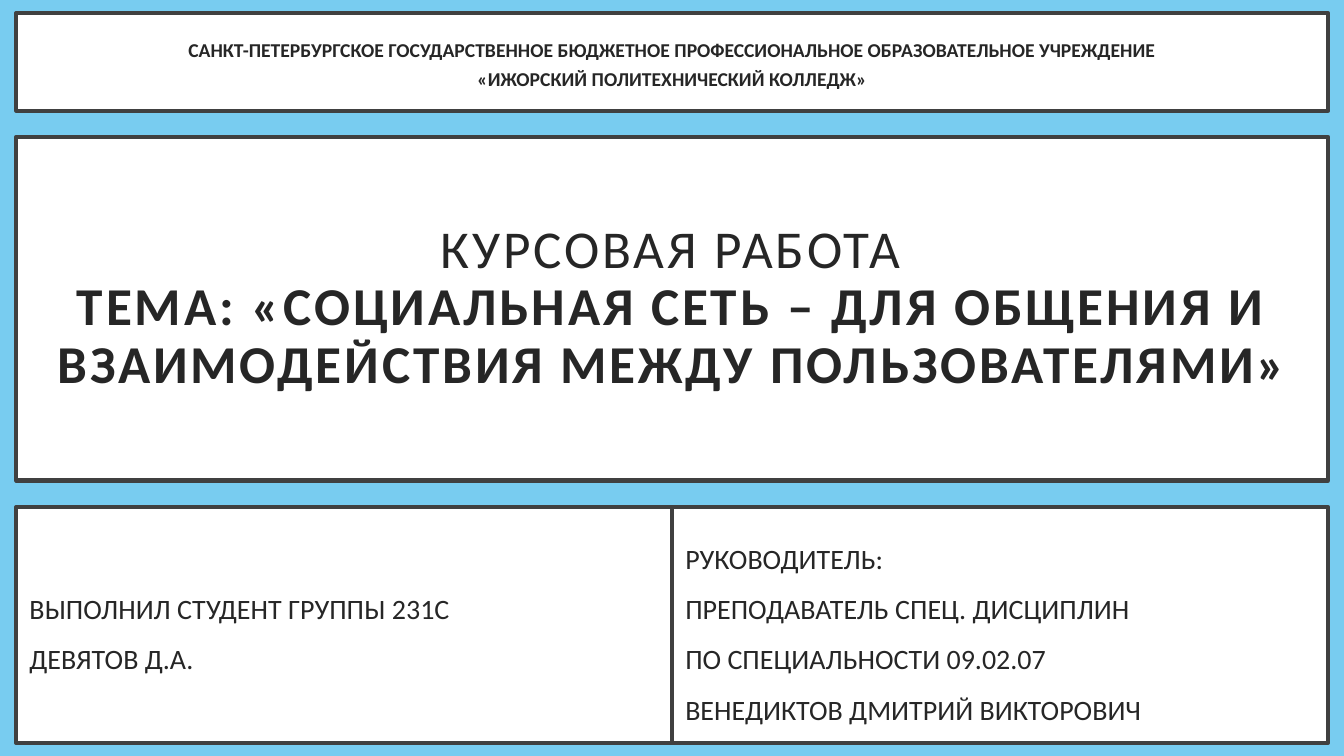
from dataclasses import dataclass

from pptx import Presentation
from pptx.dml.color import RGBColor
from pptx.enum.shapes import MSO_SHAPE
from pptx.enum.text import MSO_ANCHOR, PP_ALIGN
from pptx.slide import Slide
from pptx.util import Cm, Pt

RECT = MSO_SHAPE.RECTANGLE
MIDDLE = MSO_ANCHOR.MIDDLE
LEFT = PP_ALIGN.LEFT
CENTER = PP_ALIGN.CENTER


@dataclass(frozen=True)
class Theme:
    sky: RGBColor = RGBColor(0x78, 0xCC, 0xF0)
    paper: RGBColor = RGBColor(0xFF, 0xFF, 0xFF)
    frame: RGBColor = RGBColor(0x40, 0x40, 0x40)
    ink: RGBColor = RGBColor(0x26, 0x26, 0x26)
    font: str = "Calibri"
    border: float = 3
    head: float = 14
    title: float = 38
    body: float = 20


@dataclass(frozen=True)
class Panel:
    left: float
    top: float
    width: float
    height: float
    text: str
    size: float
    leading: float
    align: PP_ALIGN
    pad_x: float
    pad_y: float
    bold: tuple[bool, ...] = (False,)
    tracking: int = 0


THEME = Theme()
EDGE = 0.41
WIDE = 33.06
HALF = WIDE / 2
LOW = 12.78
TALL = 5.94

PANELS = [
    Panel(EDGE, 3.45, WIDE, 8.66,
          "КУРСОВАЯ РАБОТА\v"
          "ТЕМА: «СОЦИАЛЬНАЯ СЕТЬ – ДЛЯ ОБЩЕНИЯ И ВЗАИМОДЕЙСТВИЯ МЕЖДУ ПОЛЬЗОВАТЕЛЯМИ»",
          THEME.title, 0.9, CENTER, 0.76, 0.51, (False, True), 200),
    Panel(EDGE, 0.33, WIDE, 2.46,
          "САНКТ-ПЕТЕРБУРГСКОЕ ГОСУДАРСТВЕННОЕ БЮДЖЕТНОЕ "
          "ПРОФЕССИОНАЛЬНОЕ ОБРАЗОВАТЕЛЬНОЕ УЧРЕЖДЕНИЕ\n"
          "«ИЖОРСКИЙ ПОЛИТЕХНИЧЕСКИЙ КОЛЛЕДЖ»",
          THEME.head, 1.2, CENTER, 0.76, 0.51, (True,)),
    Panel(EDGE + HALF, LOW, HALF, TALL,
          "РУКОВОДИТЕЛЬ:\n"
          "ПРЕПОДАВАТЕЛЬ СПЕЦ. ДИСЦИПЛИН\n"
          "ПО СПЕЦИАЛЬНОСТИ 09.02.07\n"
          "ВЕНЕДИКТОВ ДМИТРИЙ ВИКТОРОВИЧ",
          THEME.body, 1.5, LEFT, 0.33, 0.33),
    Panel(EDGE, LOW, HALF, TALL,
          "ВЫПОЛНИЛ СТУДЕНТ ГРУППЫ 231С\n"
          "ДЕВЯТОВ Д.А.",
          THEME.body, 1.5, LEFT, 0.33, 0.33),
]


def draw_panel(slide: Slide, panel: Panel) -> None:
    shape = slide.shapes.add_shape(
        RECT, Cm(panel.left), Cm(panel.top), Cm(panel.width), Cm(panel.height))
    shape.shadow.inherit = False
    shape.fill.solid()
    shape.fill.fore_color.rgb = THEME.paper
    shape.line.color.rgb = THEME.frame
    shape.line.width = Pt(THEME.border)

    frame = shape.text_frame
    frame.word_wrap = True
    frame.vertical_anchor = MIDDLE
    frame.margin_left = frame.margin_right = Cm(panel.pad_x)
    frame.margin_top = frame.margin_bottom = Cm(panel.pad_y)
    frame.text = panel.text
    for para in frame.paragraphs:
        para.alignment = panel.align
        para.line_spacing = panel.leading
        for place, run in enumerate(para.runs):
            font = run.font
            font.name = THEME.font
            font.size = Pt(panel.size)
            font.color.rgb = THEME.ink
            font.bold = panel.bold[place]
            if panel.tracking:
                run._r.get_or_add_rPr().set("spc", str(panel.tracking))


def main() -> None:
    deck = Presentation()
    deck.slide_width = Cm(33.87)
    deck.slide_height = Cm(19.05)
    slide = deck.slides.add_slide(deck.slide_layouts[6])
    slide.background.fill.solid()
    slide.background.fill.fore_color.rgb = THEME.sky
    for panel in PANELS:
        draw_panel(slide, panel)
    deck.save("out.pptx")


if __name__ == "__main__":
    main()
